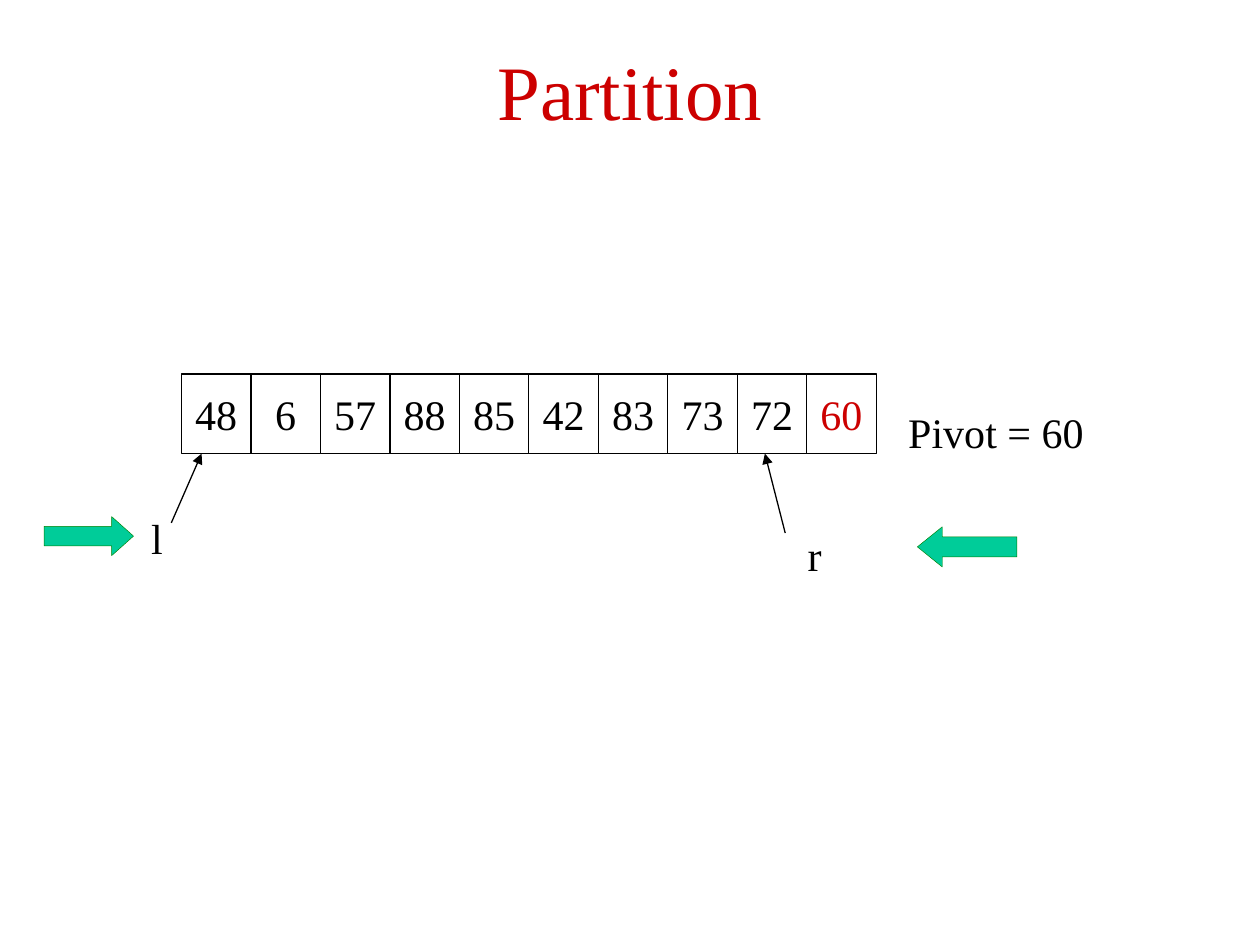
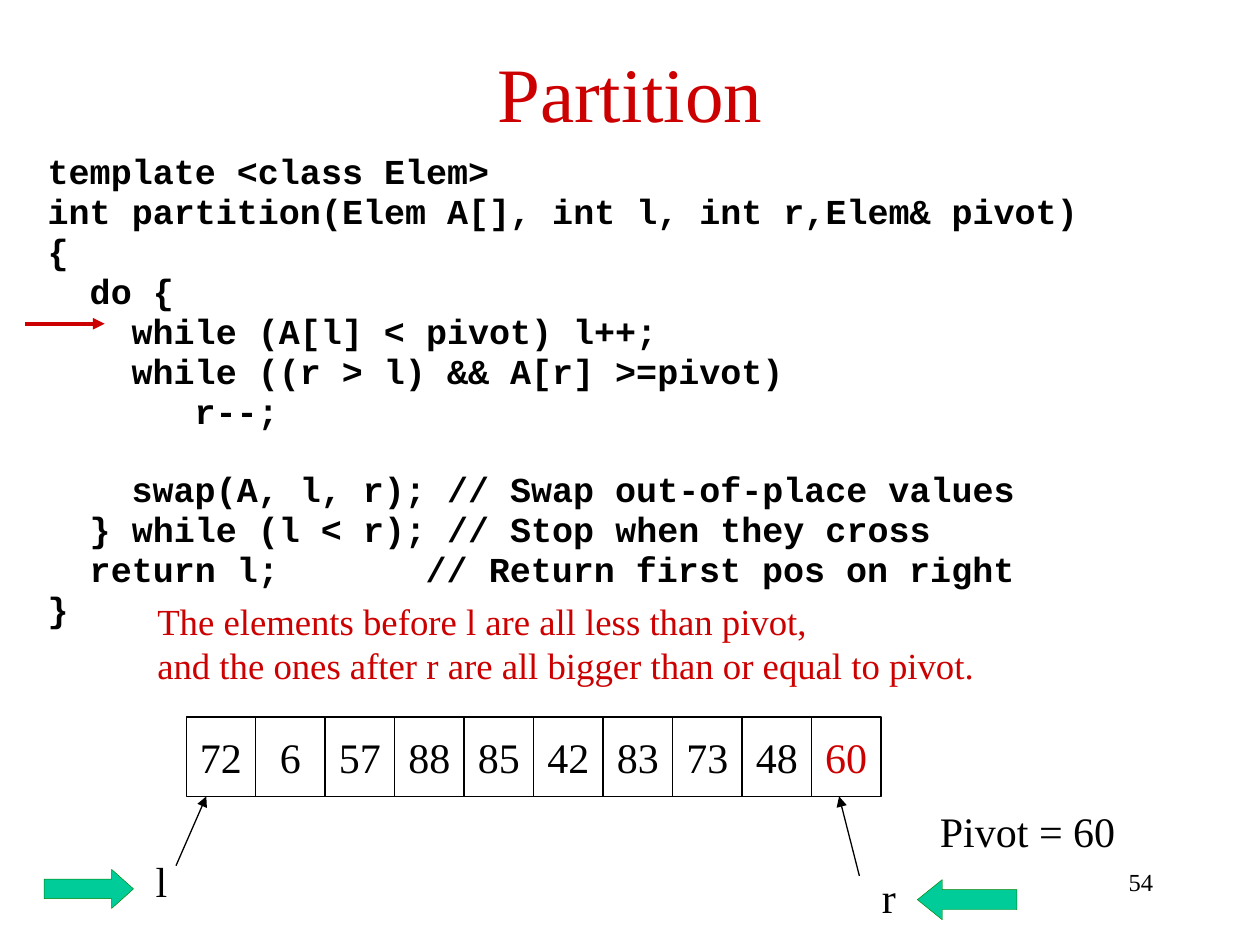
"""Build two slides that explain the partition step of quicksort."""
from dataclasses import dataclass

from lxml import etree
from pptx import Presentation
from pptx.dml.color import RGBColor
from pptx.enum.shapes import MSO_CONNECTOR, MSO_SHAPE
from pptx.enum.text import MSO_ANCHOR, MSO_AUTO_SIZE, PP_ALIGN
from pptx.oxml.ns import qn
from pptx.util import Pt

STRAIGHT = MSO_CONNECTOR.STRAIGHT
RECTANGLE = MSO_SHAPE.RECTANGLE
RIGHT_ARROW, LEFT_ARROW = MSO_SHAPE.RIGHT_ARROW, MSO_SHAPE.LEFT_ARROW
LEFT, CENTER, RIGHT = PP_ALIGN.LEFT, PP_ALIGN.CENTER, PP_ALIGN.RIGHT
TOP, MIDDLE = MSO_ANCHOR.TOP, MSO_ANCHOR.MIDDLE

RED, BLACK, WHITE = "CC0000", "000000", "FFFFFF"
ARROW_FILL, ARROW_EDGE = "00CC99", "008000"
SERIF, MONO = "Times New Roman", "Courier New"
CELL_WIDTH, CELL_HEIGHT = 39.7, 45.4
CODE_TABS = (24, 48, 84, 216)
CODE_SPACING = 6
CODE_BREAK = 27.9
TITLE_ONLY = 5

CODE_SEARCH = """template <class Elem>
int partition(Elem A[], int l, int r,Elem& pivot)
{
\tdo {
\t\twhile (A[l] < pivot) l++;
\t\twhile ((r > l) && A[r] >=pivot)
\t\t\tr--;"""
CODE_SWAP = """\t\tswap(A, l, r); // Swap out-of-place values
\t} while (l < r); // Stop when they cross
\treturn l;\t// Return first pos on right
}"""
INVARIANT = """The elements before l are all less than pivot,
and the ones after r are all bigger than or equal to pivot."""


@dataclass(frozen=True)
class Pointer:
    """An index mark, placed relative to the lower left corner of its cell."""
    name: str
    tail_x: float
    tail_y: float
    tip_x: float
    label_x: float
    label_y: float
    label_width: float


@dataclass(frozen=True)
class Direction:
    """A block arrow that shows which way a pointer moves."""
    kind: MSO_SHAPE
    left: float
    width: float
    height: float
    head: float
    drop: float


@dataclass(frozen=True)
class ArrayState:
    """The array at one moment, with its place and the cell of pointer r."""
    values: tuple[int, ...]
    left: float
    top: float
    r_cell: int
    pivot_left: float
    pivot_top: float
    arrows_top: float


L_POINTER = Pointer("l", -5.8, 39.6, 11.5, -24.5, 30.2, 20.9)
R_POINTER = Pointer("r", 27.4, 45.4, 15.8, 33.1, 39.6, 22.3)
DIRECTIONS = (
    Direction(RIGHT_ARROW, 25.2, 51.1, 22.3, 0.56, 0),
    Direction(LEFT_ARROW, 524.2, 56.9, 23, 0.62, 5.8),
)
BEFORE_SWAP = ArrayState((48, 6, 57, 88, 85, 42, 83, 73, 72, 60),
                         103.7, 213.8, 8, 511.9, 229, 295.2)
AFTER_SWAP = ArrayState((72, 6, 57, 88, 85, 42, 83, 73, 48, 60),
                        106.4, 409.7, 9, 530, 456.5, 496.8)


def rgb(value: str) -> RGBColor:
    """Turn a hex string into a colour."""
    return RGBColor.from_string(value)


def write(frame, text: str, *, size: float = 24, color: str = BLACK,
          font: str = SERIF, bold: bool = False, align=LEFT, anchor=TOP,
          wrap: bool = False) -> None:
    """Write each line of the text as a formatted paragraph."""
    frame.auto_size = MSO_AUTO_SIZE.NONE
    frame.word_wrap = wrap
    frame.vertical_anchor = anchor
    for index, line in enumerate(text.split("\n")):
        paragraph = frame.add_paragraph() if index else frame.paragraphs[0]
        paragraph.alignment = align
        run = paragraph.add_run()
        run.text = line
        run.font.size = Pt(size)
        run.font.name = font
        run.font.bold = bold
        run.font.color.rgb = rgb(color)


def add_text(slide, text: str, left: float, top: float, width: float,
             height: float = 36, **style):
    """Add a text box and return its frame."""
    box = slide.shapes.add_textbox(Pt(left), Pt(top), Pt(width), Pt(height))
    write(box.text_frame, text, **style)
    return box.text_frame


def add_block(slide, kind, left: float, top: float, width: float,
              height: float, fill: str, edge: str, edge_width: float):
    """Add a flat preset shape with a fill and an outline."""
    block = slide.shapes.add_shape(kind, Pt(left), Pt(top), Pt(width), Pt(height))
    block.shadow.inherit = False
    block.fill.solid()
    block.fill.fore_color.rgb = rgb(fill)
    block.line.color.rgb = rgb(edge)
    block.line.width = Pt(edge_width)
    return block


def add_arrow(slide, start: tuple[float, float], end: tuple[float, float],
              color: str = BLACK, width: float = 0.75) -> None:
    """Draw a straight line with a triangle at its end."""
    arrow = slide.shapes.add_connector(
        STRAIGHT, *(Pt(value) for value in (*start, *end)))
    arrow.line.color.rgb = rgb(color)
    arrow.line.width = Pt(width)
    etree.SubElement(arrow.line._get_or_add_ln(), qn("a:tailEnd"), type="triangle")
    etree.SubElement(arrow._element.spPr, qn("a:effectLst"))


def add_pointer(slide, pointer: Pointer, cell_left: float, bottom: float) -> None:
    """Draw an index label and the arrow to its cell."""
    add_arrow(slide, (cell_left + pointer.tail_x, bottom + pointer.tail_y),
              (cell_left + pointer.tip_x, bottom))
    add_text(slide, pointer.name, cell_left + pointer.label_x,
             bottom + pointer.label_y, pointer.label_width)


def add_array(slide, state: ArrayState) -> None:
    """Draw the array cells, both pointers, the pivot and the directions."""
    last = len(state.values) - 1
    for index, value in enumerate(state.values):
        cell = add_block(slide, RECTANGLE, state.left + index * CELL_WIDTH,
                         state.top, CELL_WIDTH, CELL_HEIGHT, WHITE, BLACK, 0.75)
        write(cell.text_frame, str(value), align=CENTER, anchor=MIDDLE,
              color=RED if index == last else BLACK)
    bottom = state.top + CELL_HEIGHT
    add_pointer(slide, L_POINTER, state.left, bottom)
    add_pointer(slide, R_POINTER, state.left + state.r_cell * CELL_WIDTH, bottom)
    add_text(slide, "Pivot = 60", state.pivot_left, state.pivot_top, 114.5)
    for direction in DIRECTIONS:
        block = add_block(slide, direction.kind, direction.left,
                          state.arrows_top + direction.drop, direction.width,
                          direction.height, ARROW_FILL, ARROW_EDGE, 0.25)
        block.adjustments[0] = 0.5
        block.adjustments[1] = direction.head


def add_code(slide) -> None:
    """Add the listing, indented by tab stops, with a gap before the swap."""
    frame = add_text(slide, f"{CODE_SEARCH}\n{CODE_SWAP}", 20.2, 88.6, 657.4, 368.6,
                     size=20, font=MONO, bold=True, wrap=True)
    swap_line = len(CODE_SEARCH.split("\n"))
    for index, paragraph in enumerate(frame.paragraphs):
        paragraph.line_spacing = 0.7
        paragraph.space_before = Pt(CODE_BREAK if index == swap_line else CODE_SPACING)
        stops = etree.SubElement(paragraph._p.get_or_add_pPr(), qn("a:tabLst"))
        for position in CODE_TABS:
            etree.SubElement(stops, qn("a:tab"), pos=str(Pt(position)), algn="l")


def add_titled_slide(deck, title_top: float):
    """Add a slide with the shared title."""
    slide = deck.slides.add_slide(deck.slide_layouts[TITLE_ONLY])
    title = slide.shapes.title
    title.left, title.top = Pt(36), Pt(title_top)
    title.width, title.height = Pt(648), Pt(72)
    write(title.text_frame, "Partition", size=44, color=RED, align=CENTER,
          anchor=MIDDLE, wrap=True)
    return slide


def main() -> None:
    """Build and save the deck."""
    deck = Presentation()
    deck.slide_width, deck.slide_height = Pt(720), Pt(540)

    add_array(add_titled_slide(deck, 15.1), BEFORE_SWAP)

    code_slide = add_titled_slide(deck, 16.6)
    add_text(code_slide, "54", 516.2, 491.8, 149.8, size=14, align=RIGHT, wrap=True)
    add_code(code_slide)
    add_array(code_slide, AFTER_SWAP)
    add_arrow(code_slide, (14.4, 185), (59.8, 185), RED, 2.25)
    add_text(code_slide, INVARIANT, 82.8, 338.4, 481, 57.6, size=21, color=RED)
    deck.save("out.pptx")


if __name__ == "__main__":
    main()
